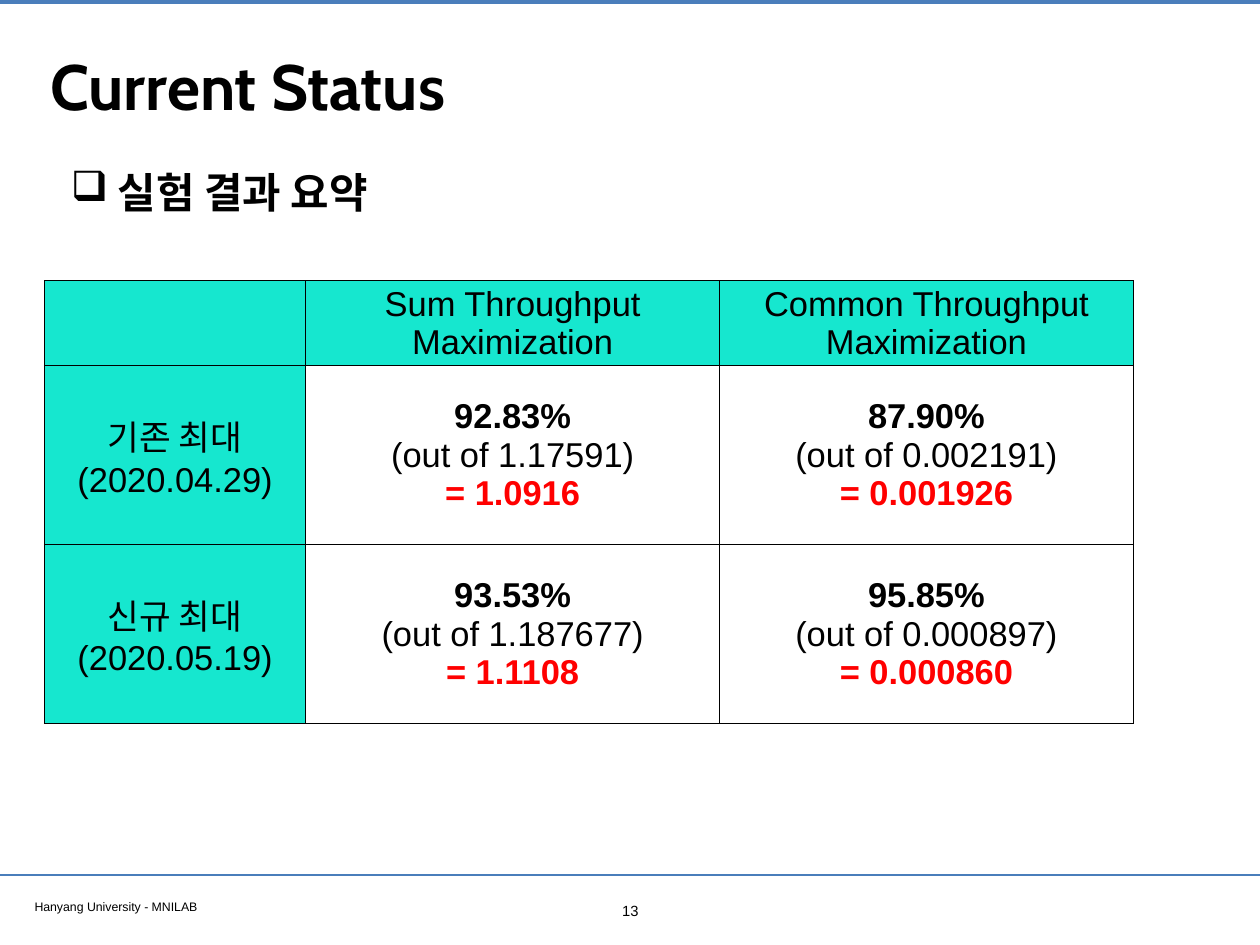
from dataclasses import dataclass

from lxml import etree
from pptx import Presentation
from pptx.dml.color import RGBColor
from pptx.enum.shapes import MSO_CONNECTOR
from pptx.enum.text import MSO_ANCHOR, MSO_AUTO_SIZE, PP_ALIGN
from pptx.oxml.ns import qn
from pptx.util import Inches, Pt

LEFT, CENTER = PP_ALIGN.LEFT, PP_ALIGN.CENTER
TOP, MIDDLE = MSO_ANCHOR.TOP, MSO_ANCHOR.MIDDLE
NO_AUTOFIT = MSO_AUTO_SIZE.NONE
STRAIGHT = MSO_CONNECTOR.STRAIGHT

TITLE = "Current Status"
TOPIC = "실험 결과 요약"
FOOTER = "Hanyang University - MNILAB"
PAGE_NUMBER = "13"
HEADERS = [[], ["Sum Throughput Maximization"], ["Common Throughput Maximization"]]
RESULTS = [
    [["기존 최대", "(2020.04.29)"],
     ["92.83%", "(out of 1.17591)", "= 1.0916"],
     ["87.90%", "(out of 0.002191)", "= 0.001926"]],
    [["신규 최대", "(2020.05.19)"],
     ["93.53%", "(out of 1.187677)", "= 1.1108"],
     ["95.85%", "(out of 0.000897)", "= 0.000860"]],
]


@dataclass(frozen=True)
class Theme:
    black: str = "000000"
    red: str = "FF0000"
    white: str = "FFFFFF"
    rule: str = "4A7EBB"
    header: str = "16E7CF"
    title_font: str = "Cabin"
    body_font: str = "Arial"
    title_size: int = 52
    topic_size: int = 34
    table_size: int = 28
    number_size: int = 12
    footer_size: int = 10


THEME = Theme()
WIDTH, HEIGHT = 14.22, 10.67
INSET = 0.06
TABLE_LEFT, TABLE_TOP = 0.5, 3.17
COLUMNS = [2.95, 4.67, 4.67]
ROWS = [0.96, 2.02, 2.02]
CELL_INSET = 0.04


def add_span(para, text, size, color=THEME.black, bold=False, font=THEME.body_font):
    span = para.add_run()
    span.text = text
    span.font.name = font
    span.font.size = Pt(size)
    span.font.bold = bold
    span.font.color.rgb = RGBColor.from_string(color)


def format_frame(frame, anchor):
    frame.word_wrap = True
    frame.auto_size = NO_AUTOFIT
    frame.vertical_anchor = anchor
    frame.margin_left = frame.margin_right = Inches(INSET)
    frame.margin_top = frame.margin_bottom = Inches(INSET)


def place(shape, left, top, width, height):
    shape.left, shape.top = Inches(left), Inches(top)
    shape.width, shape.height = Inches(width), Inches(height)


def add_title(page):
    title = page.shapes.title
    place(title, 0.51, 0.28, 13.21, 1.35)
    format_frame(title.text_frame, MIDDLE)
    para = title.text_frame.paragraphs[0]
    para.alignment = LEFT
    add_span(para, TITLE, THEME.title_size, bold=True, font=THEME.title_font)


def add_text(page, area, text, size, align=LEFT, bold=False):
    box = page.shapes.add_textbox(*map(Inches, area))
    format_frame(box.text_frame, TOP)
    para = box.text_frame.paragraphs[0]
    para.alignment = align
    add_span(para, text, size, bold=bold)
    return para


def add_bullet(para, symbol, indent):
    properties = para._p.get_or_add_pPr()
    properties.set("marL", str(Inches(indent)))
    properties.set("indent", str(-Inches(indent)))
    etree.SubElement(properties, qn("a:buChar"), char=symbol)


def add_rule(page, top, weight):
    y = Inches(top)
    rule = page.shapes.add_connector(STRAIGHT, 0, y, Inches(WIDTH), y)
    rule.line.color.rgb = RGBColor.from_string(THEME.rule)
    rule.line.width = Pt(weight)
    etree.SubElement(rule._element.spPr, qn("a:effectLst"))


def add_borders(cell):
    properties = cell._tc.get_or_add_tcPr()
    for index, side in enumerate(("a:lnL", "a:lnR", "a:lnT", "a:lnB")):
        border = etree.Element(qn(side), w=str(Pt(1)))
        fill = etree.SubElement(border, qn("a:solidFill"))
        etree.SubElement(fill, qn("a:srgbClr"), val=THEME.black)
        properties.insert(index, border)


def fill_cell(cell, lines, is_heading):
    cell.fill.solid()
    cell.fill.fore_color.rgb = RGBColor.from_string(
        THEME.header if is_heading else THEME.white)
    cell.vertical_anchor = MIDDLE
    cell.margin_top = cell.margin_bottom = Inches(CELL_INSET)
    add_borders(cell)
    frame = cell.text_frame
    for index, line in enumerate(lines):
        para = frame.add_paragraph() if index else frame.paragraphs[0]
        para.alignment = CENTER
        is_value = line.startswith("=")
        add_span(para, line, THEME.table_size,
                 color=THEME.red if is_value else THEME.black,
                 bold=is_value or line.endswith("%"))


def add_results(page):
    table = page.shapes.add_table(
        len(ROWS), len(COLUMNS), Inches(TABLE_LEFT), Inches(TABLE_TOP),
        Inches(sum(COLUMNS)), Inches(sum(ROWS))).table
    for column, width in zip(table.columns, COLUMNS):
        column.width = Inches(width)
    for row, height in zip(table.rows, ROWS):
        row.height = Inches(height)
    for r, row in enumerate([HEADERS] + RESULTS):
        for c, lines in enumerate(row):
            fill_cell(table.cell(r, c), lines, is_heading=r == 0 or c == 0)


def main():
    deck = Presentation()
    deck.slide_width, deck.slide_height = Inches(WIDTH), Inches(HEIGHT)
    page = deck.slides.add_slide(deck.slide_layouts[5])
    add_rule(page, 0.02, 3.2)
    add_rule(page, 9.88, 2)
    add_text(page, (0.33, 10.09, 5.46, 0.26), FOOTER, THEME.footer_size)
    add_title(page)
    topic = add_text(page, (0.74, 1.71, 12.51, 1.25), TOPIC, THEME.topic_size, bold=True)
    topic.line_spacing = 1.2
    add_bullet(topic, "❑", 0.53)
    add_text(page, (6.92, 10.12, 0.39, 0.31), PAGE_NUMBER, THEME.number_size, CENTER)
    add_results(page)
    deck.save("out.pptx")


if __name__ == "__main__":
    main()
